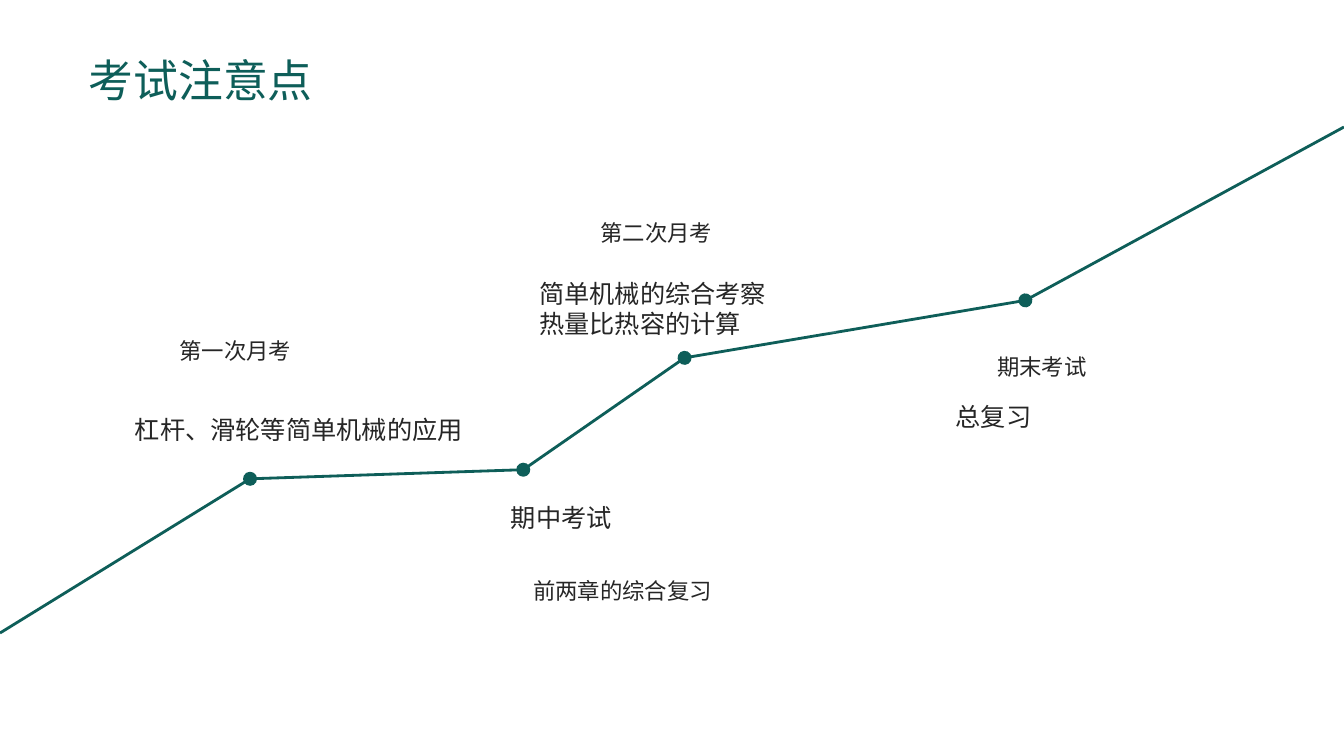
from itertools import pairwise

from lxml import etree
from pptx import Presentation
from pptx.dml.color import RGBColor
from pptx.enum.shapes import MSO_CONNECTOR, MSO_SHAPE
from pptx.enum.text import MSO_ANCHOR, MSO_AUTO_SIZE, PP_ALIGN
from pptx.oxml.ns import qn
from pptx.util import Inches, Pt

STRAIGHT = MSO_CONNECTOR.STRAIGHT
RECTANGLE = MSO_SHAPE.RECTANGLE
MIDDLE = MSO_ANCHOR.MIDDLE
GROW = MSO_AUTO_SIZE.SHAPE_TO_FIT_TEXT
LEFT, CENTER, JUSTIFY = PP_ALIGN.LEFT, PP_ALIGN.CENTER, PP_ALIGN.JUSTIFY

WIDTH, HEIGHT = 13.33, 7.5
FONT = "Noto Sans CJK SC"
TEAL, DARK, WHITE = "0E5E59", "262626", "FFFFFF"

TIMELINE = [(0, 6.28), (2.48, 4.75), (5.19, 4.66), (6.79, 3.55), (10.17, 2.98), (WIDTH, 1.26)]
TOPIC_HEIGHT, LABEL_HEIGHT = 0.48, 0.37
# left, top, width, lines
TOPICS = [
    (1.24, 4.02, 3.75, ["杠杆、滑轮等简单机械的应用"]),
    (4.97, 4.89, 1.76, ["期中考试"]),
    (5.25, 2.82, 3.04, ["简单机械的综合考察", "热量比热容的计算"]),
    (9.38, 3.89, 1.76, ["总复习"]),
]
LABELS = [
    (0.46, 3.3, 3.75, "第一次月考"),
    (4.18, 5.68, 3.99, "前两章的综合复习"),
    (4.4, 2.13, 4.22, "第二次月考"),
    (8.48, 3.45, 3.71, "期末考试"),
]


def color(value):
    return RGBColor.from_string(value)


def write_lines(frame, lines, size, text_color, alignment):
    frame.word_wrap = True
    for index, line in enumerate(lines):
        paragraph = frame.paragraphs[0] if index == 0 else frame.add_paragraph()
        paragraph.text = line
        paragraph.alignment = alignment
        font = paragraph.font
        font.size = Pt(size)
        font.color.rgb = color(text_color)
        font.name = FONT
        defaults = paragraph._p.pPr.find(qn("a:defRPr"))
        etree.SubElement(defaults, qn("a:ea"), typeface=FONT)


def add_text(slide, left, top, width, height, text, size, text_color, alignment):
    box = slide.shapes.add_textbox(*map(Inches, (left, top, width, height)))
    write_lines(box.text_frame, [text], size, text_color, alignment)
    box.text_frame.auto_size = GROW


def add_topic(slide, left, top, width, lines):
    """Add a translucent white panel with justified text."""
    panel = slide.shapes.add_shape(RECTANGLE, *map(Inches, (left, top, width, TOPIC_HEIGHT)))
    panel.shadow.inherit = False
    panel.fill.solid()
    panel.fill.fore_color.rgb = color(WHITE)
    fill_color = panel._element.spPr.find(qn("a:solidFill"))[0]
    etree.SubElement(fill_color, qn("a:alpha"), val="20000")
    panel.line.fill.background()
    panel.text_frame.vertical_anchor = MIDDLE
    write_lines(panel.text_frame, lines, 18, DARK, JUSTIFY)


def add_segment(slide, start, end, has_dot):
    segment = slide.shapes.add_connector(STRAIGHT, *map(Inches, (*start, *end)))
    segment.line.color.rgb = color(TEAL)
    segment.line.width = Pt(2)
    if has_dot:
        outline = segment.line._get_or_add_ln()
        etree.SubElement(outline, qn("a:tailEnd"), type="oval", w="lg", len="lg")
    etree.SubElement(segment._element.spPr, qn("a:effectLst"))


def main():
    presentation = Presentation()
    presentation.slide_width = Inches(WIDTH)
    presentation.slide_height = Inches(HEIGHT)
    slide = presentation.slides.add_slide(presentation.slide_layouts[6])

    add_text(slide, 0.78, 0.47, 3.11, 0.64, "考试注意点", 32, TEAL, LEFT)
    for start, end in pairwise(TIMELINE):
        add_segment(slide, start, end, has_dot=end != TIMELINE[-1])
    for topic in TOPICS:
        add_topic(slide, *topic)
    for left, top, width, text in LABELS:
        add_text(slide, left, top, width, LABEL_HEIGHT, text, 16, DARK, CENTER)

    presentation.save("out.pptx")


if __name__ == "__main__":
    main()
